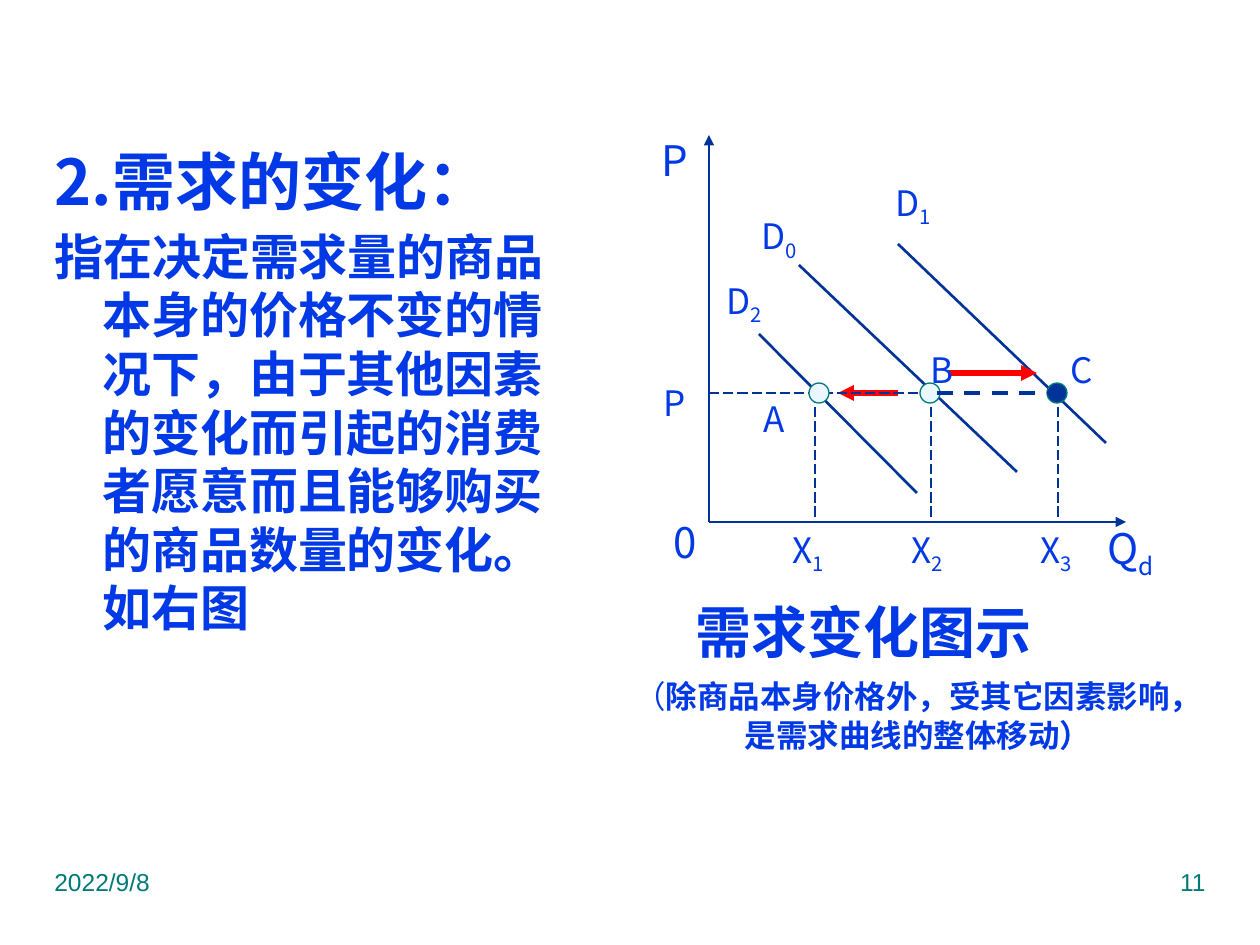
"""Build the slide on changes in demand, with its demand curve diagram."""
from lxml import etree
from pptx import Presentation
from pptx.dml.color import RGBColor
from pptx.enum.dml import MSO_LINE
from pptx.enum.shapes import MSO_CONNECTOR, MSO_SHAPE
from pptx.enum.text import MSO_ANCHOR, PP_ALIGN
from pptx.oxml.ns import qn
from pptx.util import Pt

PX = 914400 / 126
LEFT, CENTER, RIGHT = PP_ALIGN.LEFT, PP_ALIGN.CENTER, PP_ALIGN.RIGHT
TOP, MIDDLE = MSO_ANCHOR.TOP, MSO_ANCHOR.MIDDLE
LONG_DASH, DASH = MSO_LINE.LONG_DASH, MSO_LINE.DASH
STRAIGHT, OVAL = MSO_CONNECTOR.STRAIGHT, MSO_SHAPE.OVAL
CJK = "Noto Sans CJK SC"
COLORS = {
    "text": "0039E5",
    "footer": "007A77",
    "curve": "003399",
    "shift": "FF0000",
    "pale": "EBF7FF",
}


def add_text(box, paragraphs, color="text", font=CJK, align=LEFT, anchor=TOP, wrap=True):
    """Add a text box; a run is (text, size, bold, baseline)."""
    frame = slide.shapes.add_textbox(*(round(v * PX) for v in box)).text_frame
    frame.word_wrap = wrap
    frame.vertical_anchor = anchor
    for index, runs in enumerate(paragraphs):
        paragraph = frame.paragraphs[0] if index == 0 else frame.add_paragraph()
        paragraph.alignment = align
        for text, size, bold, baseline in runs:
            run = paragraph.add_run()
            run.text = text
            run.font.size = Pt(size)
            run.font.bold = bold
            run.font.name = font
            run.font.color.rgb = RGBColor.from_string(COLORS[color])
            properties = run._r.get_or_add_rPr()
            etree.SubElement(properties, qn("a:ea")).set("typeface", font)
            if baseline:
                properties.set("baseline", str(baseline * 1000))
    return frame


def add_line(start, end, width, color="curve", dash=None, arrow=False):
    """Draw a straight line, dashed or with an arrowhead if asked."""
    line = slide.shapes.add_connector(STRAIGHT, *(round(v * PX) for v in start + end))
    line.line.width = Pt(width)
    line.line.color.rgb = RGBColor.from_string(COLORS[color])
    if dash:
        line.line.dash_style = dash
    if arrow:
        etree.SubElement(line.line._get_or_add_ln(), qn("a:tailEnd")).set("type", "triangle")
    etree.SubElement(line._element.spPr, qn("a:effectLst"))


prs = Presentation()
prs.slide_width, prs.slide_height = round(1260 * PX), round(945 * PX)
slide = prs.slides.add_slide(prs.slide_layouts[6])

for left, text, align in ((42, "2022/9/8", LEFT), (903, "11", RIGHT)):
    add_text((left, 861, 315, 66), [[(text, 14, False, 0)]], "footer", "Arial", align)

definition = add_text((42, 130, 539, 706), [
    [("2.需求的变化：", 36, True, 0)],
    [("指在决定需求量的商品本身的价格不变的情况下，由于其他因素的变化而引起的"
      "消费者愿意而且能够购买的商品数量的变化。如右图", 28, True, 0)],
])
for paragraph, spacing in zip(definition.paragraphs, (47, 33.5)):
    paragraph.line_spacing = Pt(spacing)
    properties = paragraph._p.get_or_add_pPr()
    properties.set("marL", str(round(48 * PX)))
    properties.set("indent", str(round(-48 * PX)))
definition.paragraphs[1].space_before = Pt(4.5)

caption = add_text((608, 670, 620, 90), [
    [("（", 18, False, 0), ("除商品本身价格外，受其它因素影响，", 18, True, 0)],
    [("是需求曲线的整体移动）", 18, True, 0)],
], align=CENTER, anchor=MIDDLE, wrap=False)
for paragraph in caption.paragraphs:
    paragraph.line_spacing = Pt(22)

chart_title = add_text((683, 587, 415, 81), [[("需求变化图示", 32, True, 0)]])
chart_title.paragraphs[0].line_spacing = Pt(41)

origin, price_y = (709, 522), 393
for axis_end in ((709, 135), (1126, 522)):
    add_line(origin, axis_end, 1.5, arrow=True)

demand_curves = (
    ((799, 265), (1017, 472)),
    ((898, 244), (1106, 443)),
    ((759, 334), (917, 493)),
)
for start, end in demand_curves:
    add_line(start, end, 1.5)

for start, end in (((948, 373), (1037, 373)), ((898, price_y), (838, price_y))):
    add_line(start, end, 3, "shift", arrow=True)

add_line((origin[0], price_y), (927, price_y), 0.75, dash=LONG_DASH)
for quantity_x in (815, 931, 1058):
    add_line((quantity_x, price_y), (quantity_x, origin[1]), 0.75, dash=LONG_DASH)

labels = (
    ("Q", "d", 24, (1086, 522, 90, 59)),
    ("P", "", 24, (650, 125, 49, 69)),
    ("0", "", 24, (640, 512, 90, 59)),
    ("P", "", 20, (650, 373, 49, 59)),
    ("X", "1", 20, (778, 532, 60, 40)),
    ("X", "2", 20, (897, 532, 60, 40)),
    ("X", "3", 20, (1026, 532, 60, 40)),
    ("B", "", 20, (927, 354, 30, 30)),
    ("A", "", 20, (759, 403, 30, 30)),
    ("C", "", 20, (1067, 354, 30, 30)),
    ("D", "0", 20, (749, 214, 60, 49)),
    ("D", "1", 20, (883, 185, 60, 40)),
    ("D", "2", 20, (714, 283, 60, 40)),
)
for letter, subscript, size, box in labels:
    runs = [(letter, size, False, 0)]
    if subscript:
        runs.append((subscript, size, False, -25))
    label = add_text(box, [runs], align=CENTER, anchor=MIDDLE, wrap=False)
    label.margin_left = label.margin_right = label.margin_top = label.margin_bottom = 0

for left, fill in ((920, "pale"), (809, "pale"), (1047, "curve")):
    point = slide.shapes.add_shape(
        OVAL, *(round(v * PX) for v in (left, price_y - 10, 20, 20)))
    point.shadow.inherit = False
    point.fill.solid()
    point.fill.fore_color.rgb = RGBColor.from_string(COLORS[fill])
    point.line.color.rgb = RGBColor.from_string(COLORS["footer"])
    point.line.width = Pt(0.75)

add_line((937, price_y), (1057, price_y), 2.25, dash=DASH)

prs.save("out.pptx")
